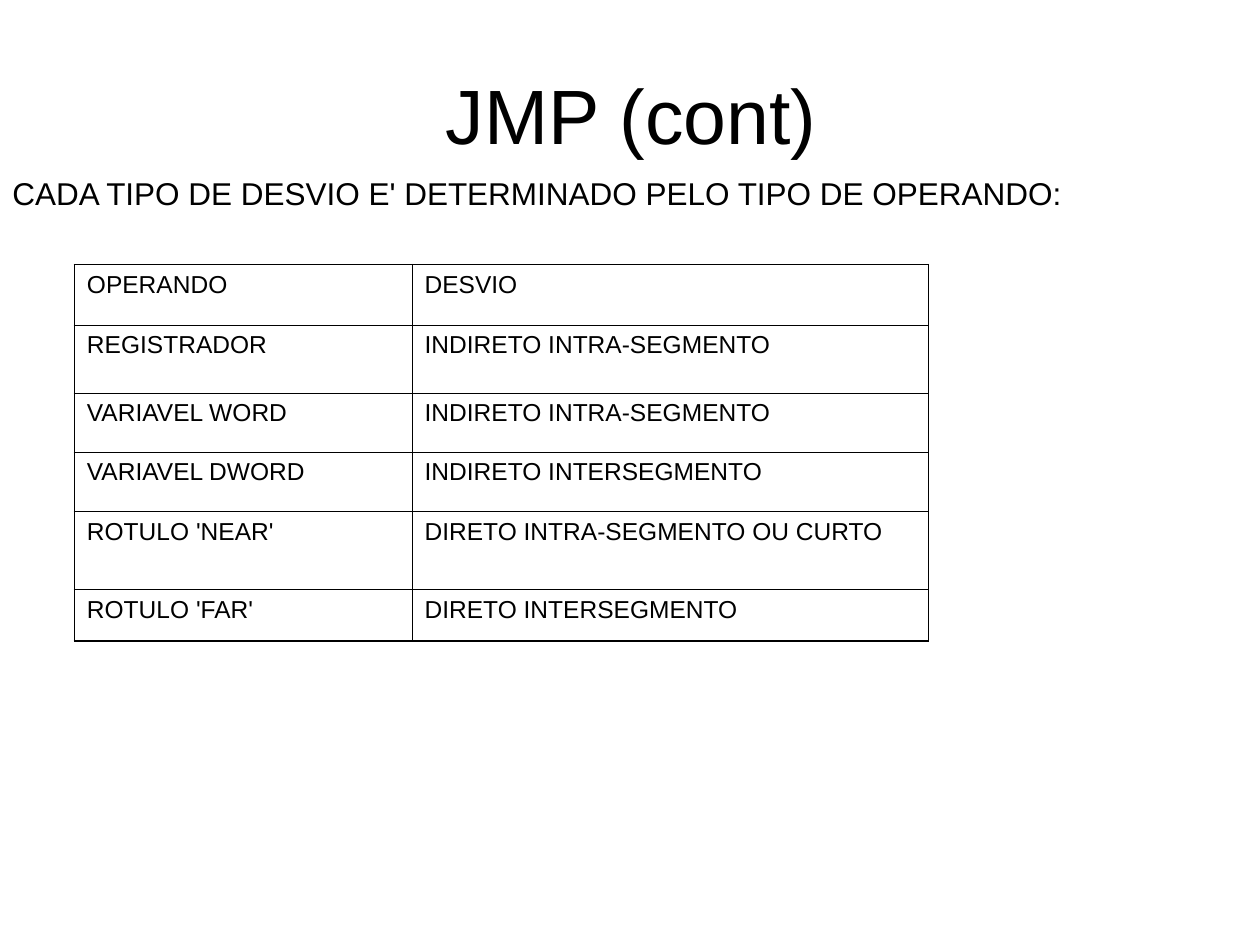
from dataclasses import dataclass

from lxml import etree
from pptx import Presentation
from pptx.dml.color import RGBColor
from pptx.enum.text import MSO_ANCHOR, PP_ALIGN
from pptx.oxml.ns import qn
from pptx.util import Inches, Pt

MIDDLE, TOP = MSO_ANCHOR.MIDDLE, MSO_ANCHOR.TOP
CENTER, LEFT = PP_ALIGN.CENTER, PP_ALIGN.LEFT
TITLE_ONLY = 5


@dataclass(frozen=True)
class Theme:
    """Colours, type sizes and line widths of the slide."""
    font: str = "Arial"
    ink: str = "000000"
    title_size: float = 44
    lead_size: float = 18
    cell_size: float = 14
    outer_line: float = 1.08
    inner_line: float = 0.45


THEME = Theme()
COLUMN_WIDTHS = (2.68, 4.1)
ROW_HEIGHTS = (0.48, 0.54, 0.47, 0.47, 0.62, 0.41)
JUMPS = (
    ("OPERANDO", "DESVIO"),
    ("REGISTRADOR", "INDIRETO INTRA-SEGMENTO"),
    ("VARIAVEL WORD", "INDIRETO INTRA-SEGMENTO"),
    ("VARIAVEL DWORD", "INDIRETO INTERSEGMENTO"),
    ("ROTULO 'NEAR'", "DIRETO INTRA-SEGMENTO OU CURTO"),
    ("ROTULO 'FAR'", "DIRETO INTERSEGMENTO"),
)


def write(frame, words, size, align=LEFT, anchor=TOP):
    """Write one run in the frame and return its paragraph."""
    frame.word_wrap = True
    frame.vertical_anchor = anchor
    paragraph = frame.paragraphs[0]
    paragraph.alignment = align
    run = paragraph.add_run()
    run.text = words
    run.font.name = THEME.font
    run.font.size = Pt(size)
    run.font.color.rgb = RGBColor.from_string(THEME.ink)
    return paragraph


def place_title(slide, left, top, width, height):
    """Move the title placeholder to the box and fill it."""
    title = slide.shapes.title
    title.left, title.top = Inches(left), Inches(top)
    title.width, title.height = Inches(width), Inches(height)
    write(title.text_frame, "JMP (cont)", THEME.title_size, CENTER, MIDDLE)


def place_lead(slide, left, top, width, height):
    """Add the sentence that introduces the table."""
    lead = slide.shapes.add_textbox(Inches(left), Inches(top), Inches(width), Inches(height))
    paragraph = write(lead.text_frame,
                      "CADA TIPO DE DESVIO E' DETERMINADO PELO TIPO DE OPERANDO:",
                      THEME.lead_size)
    paragraph.line_spacing = 0.8
    paragraph.space_before = Pt(11.2)


def draw_borders(cell, outer_sides):
    """Rule all four sides of a cell, heavier on the table's edge."""
    properties = cell._tc.get_or_add_tcPr()
    for side in "LRTB":
        weight = THEME.outer_line if side in outer_sides else THEME.inner_line
        line = etree.SubElement(properties, qn(f"a:ln{side}"), w=str(Pt(weight)))
        fill = etree.SubElement(line, qn("a:solidFill"))
        etree.SubElement(fill, qn("a:srgbClr"), val=THEME.ink)


def place_jump_table(slide, left, top):
    """Add the table of operands and jump types at the given corner."""
    jumps = slide.shapes.add_table(
        len(JUMPS), len(COLUMN_WIDTHS), Inches(left), Inches(top),
        Inches(sum(COLUMN_WIDTHS)), Inches(sum(ROW_HEIGHTS))).table
    jumps.first_row = jumps.horz_banding = False
    for column, width in zip(jumps.columns, COLUMN_WIDTHS):
        column.width = Inches(width)
    for row, height in zip(jumps.rows, ROW_HEIGHTS):
        row.height = Inches(height)

    last_row, last_column = len(JUMPS) - 1, len(COLUMN_WIDTHS) - 1
    for r, entries in enumerate(JUMPS):
        for c, words in enumerate(entries):
            cell = jumps.cell(r, c)
            edges = {"L": c == 0, "R": c == last_column, "T": r == 0, "B": r == last_row}
            draw_borders(cell, [side for side, outer in edges.items() if outer])
            cell.fill.background()
            cell.vertical_anchor = TOP
            write(cell.text_frame, words, THEME.cell_size).space_before = Pt(3.5)


def build():
    """Build the slide and save it."""
    deck = Presentation()
    deck.slide_width, deck.slide_height = Inches(10), Inches(7.5)
    slide = deck.slides.add_slide(deck.slide_layouts[TITLE_ONLY])
    place_title(slide, 0.51, 0.28, 9, 1.25)
    place_jump_table(slide, 0.59, 2.1)
    place_lead(slide, 0, 1.39, 10, 0.74)
    deck.save("out.pptx")


build()
